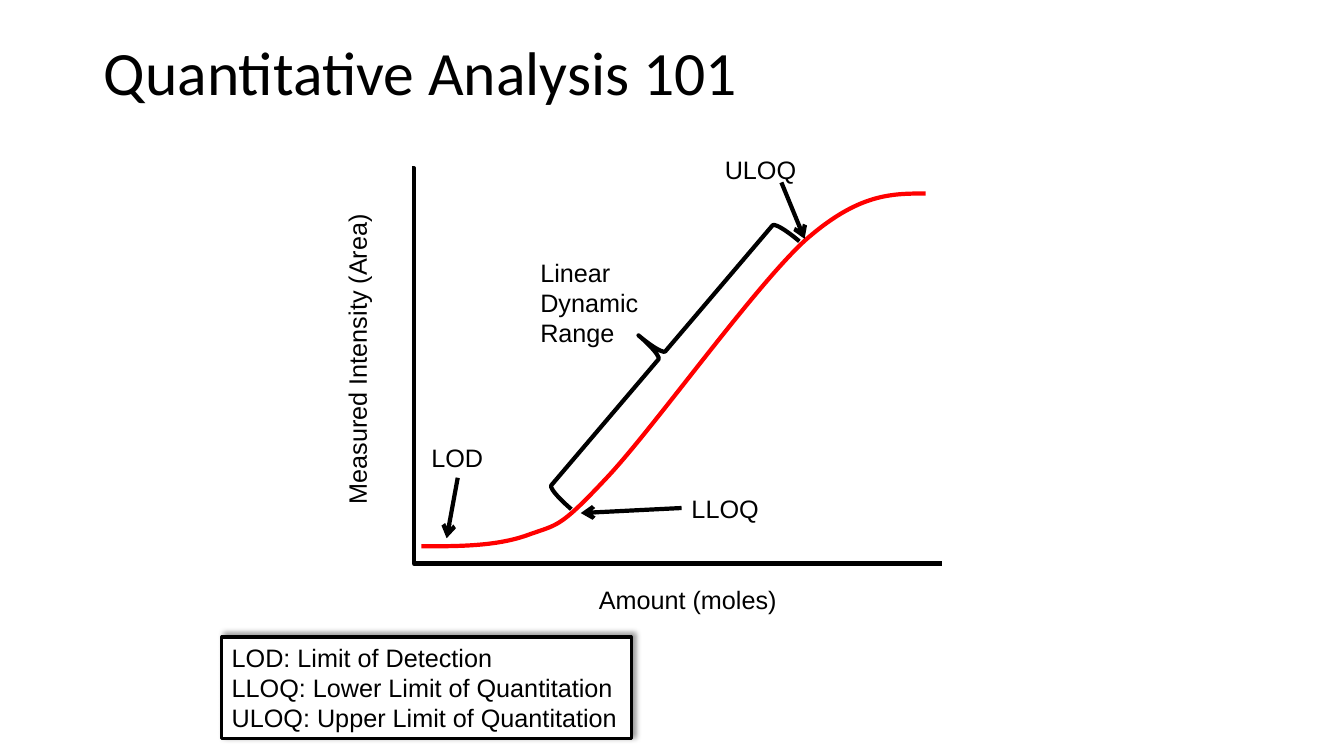
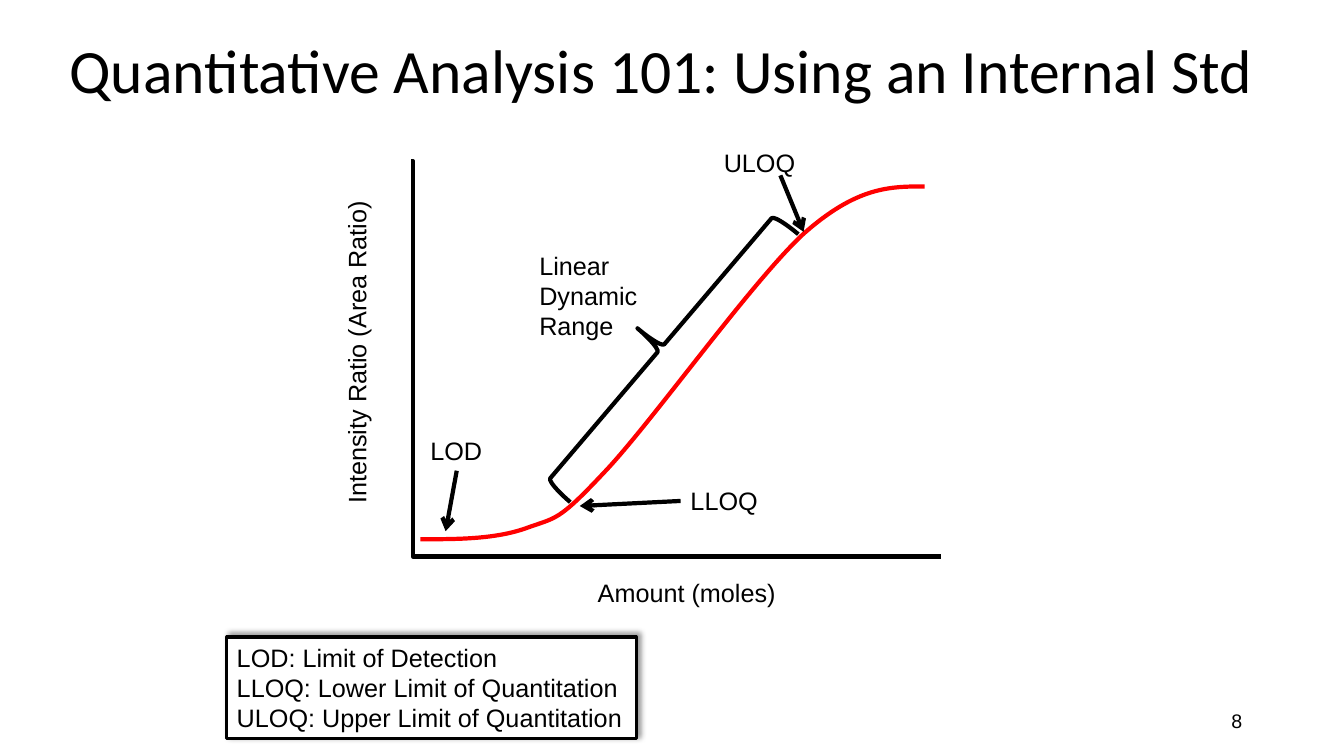
from lxml.etree import SubElement
from pptx import Presentation
from pptx.dml.color import RGBColor
from pptx.enum.shapes import MSO_CONNECTOR, MSO_SHAPE
from pptx.enum.text import MSO_ANCHOR, MSO_AUTO_SIZE, PP_ALIGN
from pptx.oxml.ns import qn
from pptx.util import Pt

PX = 9144
BLACK, RED, WHITE = "000000", "FF0000", "FFFFFF"
BODY_FONT, TITLE_FONT = "Arial", "Calibri"
TITLE_ONLY = 5
CURVE_START = (9, 375)
CURVE_POINTS = [
    (46, 375), (83, 375), (114, 364),
    (144, 353), (145, 358), (191, 309),
    (237, 261), (337, 120), (389, 72),
    (442, 25), (475, 25), (509, 25),
]
CALLOUTS = [
    ("LOD", (9, 267, 72, 40), (45, 307), (34, 367)),
    ("LLOQ", (267, 317, 88, 40), (267, 337), (167, 342)),
    ("ULOQ", (300, -19, 92, 40), (366, 14), (389, 70)),
]
LEGEND = [
    "LOD: Limit of Detection",
    "LLOQ: Lower Limit of Quantitation",
    "ULOQ: Upper Limit of Quantitation",
]


def color(value):
    """Turn a hex string into a colour."""
    return RGBColor.from_string(value)


def emu(*lengths):
    """Turn px lengths into EMU."""
    return [length * PX for length in lengths]


def shift(origin, box):
    """Move a point or box from region to slide coordinates."""
    return emu(origin[0] + box[0], origin[1] + box[1], *box[2:])


def write(frame, *lines, size=18, font=BODY_FONT, ink=BLACK, align=PP_ALIGN.LEFT,
          anchor=MSO_ANCHOR.TOP, wrap=False, fit=True, spacing=None):
    """Fill a text frame with one paragraph per line."""
    frame.word_wrap = wrap
    frame.auto_size = MSO_AUTO_SIZE.SHAPE_TO_FIT_TEXT if fit else MSO_AUTO_SIZE.NONE
    frame.vertical_anchor = anchor
    for index, line in enumerate(lines):
        para = frame.add_paragraph() if index else frame.paragraphs[0]
        para.alignment = align
        para.line_spacing = spacing
        span = para.add_run()
        span.text = line
        span.font.size = Pt(size)
        span.font.name = font
        span.font.color.rgb = color(ink)


def outline(shape, ink=BLACK, width=3):
    """Give a shape or connector its line."""
    shape.line.color.rgb = color(ink)
    shape.line.width = Pt(width)


def add_label(shapes, origin, box, text, **style):
    """Place a text box in a region."""
    label = shapes.add_textbox(*shift(origin, box))
    write(label.text_frame, text, **style)
    return label


def add_line(shapes, kind, origin, start, end):
    """Place a connector without shadow in a region."""
    line = shapes.add_connector(kind, *shift(origin, start), *shift(origin, end))
    outline(line)
    SubElement(line.element.spPr, qn("a:effectLst"))
    return line


def add_axes(shapes, origin):
    """Draw both axes as one bent line."""
    axes = add_line(shapes, MSO_CONNECTOR.ELBOW, origin, (0, 0), (525, 392))
    guides = axes.element.xpath(".//a:avLst")[0]
    SubElement(guides, qn("a:gd"), name="adj1", fmla="val 300")


def add_curve(shapes, origin):
    """Draw the response curve from cubic segments."""
    builder = shapes.build_freeform(*CURVE_START, scale=PX)
    builder.add_line_segments(CURVE_POINTS, close=False)
    curve = builder.convert_to_shape(*emu(*origin))
    curve.shadow.inherit = False
    curve.fill.background()
    outline(curve, RED)
    trace = curve.element.xpath(".//a:path")[0]
    steps = trace.findall(qn("a:lnTo"))
    for first in range(0, len(steps), 3):
        segment = SubElement(trace, qn("a:cubicBezTo"))
        for step in steps[first:first + 3]:
            segment.append(step[0])
            trace.remove(step)


def add_callouts(shapes, origin):
    """Mark the limits and the linear range as one group."""
    members = shapes.add_group_shape().shapes
    for text, box, start, end in CALLOUTS:
        add_label(members, origin, box, text)
        arrow = add_line(members, MSO_CONNECTOR.STRAIGHT, origin, start, end)
        SubElement(arrow.line._get_or_add_ln(), qn("a:tailEnd"), type="arrow")
    brace = members.add_shape(MSO_SHAPE.LEFT_BRACE, *shift(origin, (217, 11, 61, 349)))
    brace.rotation = 40.4
    brace.shadow.inherit = False
    brace.fill.background()
    outline(brace)
    add_label(members, origin, (117, 83, 125, 101), "Linear Dynamic Range", wrap=True)


def add_chart_region(page, origin, measure, measure_width):
    """Draw the calibration diagram from its top left corner."""
    shapes = page.shapes
    add_axes(shapes, origin)
    add_curve(shapes, origin)
    add_label(shapes, origin, (175, 408, 198, 40), "Amount (moles)")
    box = (-55 - measure_width // 2, 168, measure_width, 40)
    add_label(shapes, origin, box, measure).rotation = 270
    add_callouts(shapes, origin)


def add_legend(page, origin):
    """Place the shadowed box of abbreviations."""
    legend = page.shapes.add_shape(MSO_SHAPE.RECTANGLE, *emu(*origin, 406, 101))
    legend.shadow.inherit = False
    legend.fill.solid()
    legend.fill.fore_color.rgb = color(WHITE)
    outline(legend, width=2.25)
    effects = legend.element.spPr.find(qn("a:effectLst"))
    shadow = SubElement(effects, qn("a:outerShdw"), blurRad=str(Pt(4)), dist=str(Pt(3)),
                        dir="18900000", algn="bl", rotWithShape="0")
    tint = SubElement(shadow, qn("a:srgbClr"), val=BLACK)
    SubElement(tint, qn("a:alpha"), val="40000")
    write(legend.text_frame, *LEGEND)


def add_title(page, box, text):
    """Move and fill the title placeholder."""
    title = page.shapes.title
    title.left, title.top, title.width, title.height = emu(*box)
    write(title.text_frame, text, size=44, font=TITLE_FONT, anchor=MSO_ANCHOR.MIDDLE,
          wrap=True, fit=False, spacing=0.9)


def add_page(deck, title, title_box, chart_origin, measure, measure_width, legend_origin,
             number=None):
    """Build one calibration slide."""
    page = deck.slides.add_slide(deck.slide_layouts[TITLE_ONLY])
    add_title(page, title_box, title)
    if number:
        add_label(page.shapes, (942, 695), (0, 0, 300, 40), number, size=14, wrap=True,
                  fit=False, align=PP_ALIGN.RIGHT, anchor=MSO_ANCHOR.MIDDLE)
    add_chart_region(page, chart_origin, measure, measure_width)
    add_legend(page, legend_origin)


def main():
    """Build and save the deck."""
    deck = Presentation()
    deck.slide_width, deck.slide_height = emu(1333, 750)
    add_page(deck, "Quantitative Analysis 101", (93, 2, 1150, 145), (409, 167),
             "Measured Intensity (Area)", 310, (220, 632))
    add_page(deck, "Quantitative Analysis 101: Using an Internal Std", (59, 0, 1223, 145),
             (408, 160), "Intensity Ratio (Area Ratio)", 323, (225, 632), number="8")
    deck.save("out.pptx")


if __name__ == "__main__":
    main()
